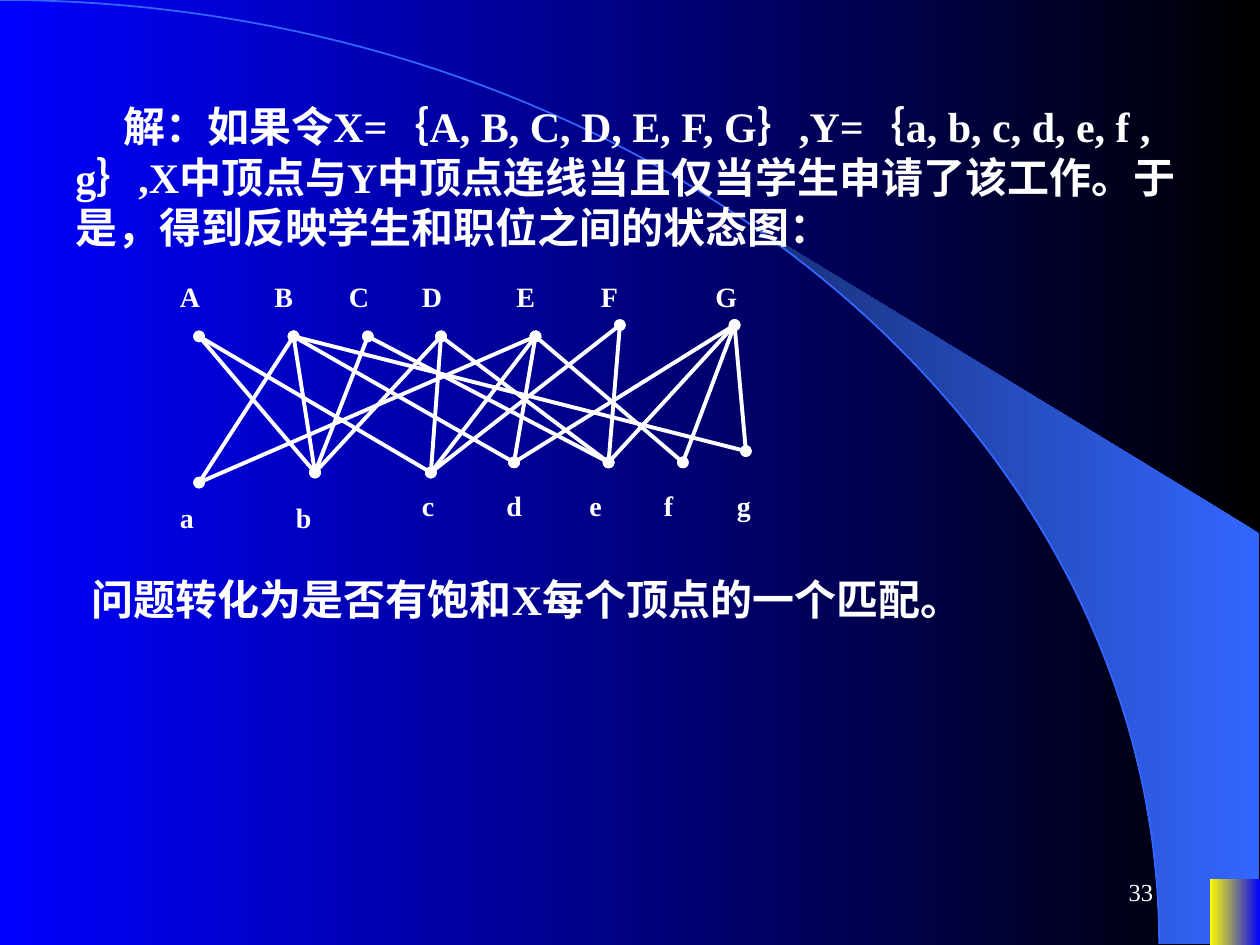
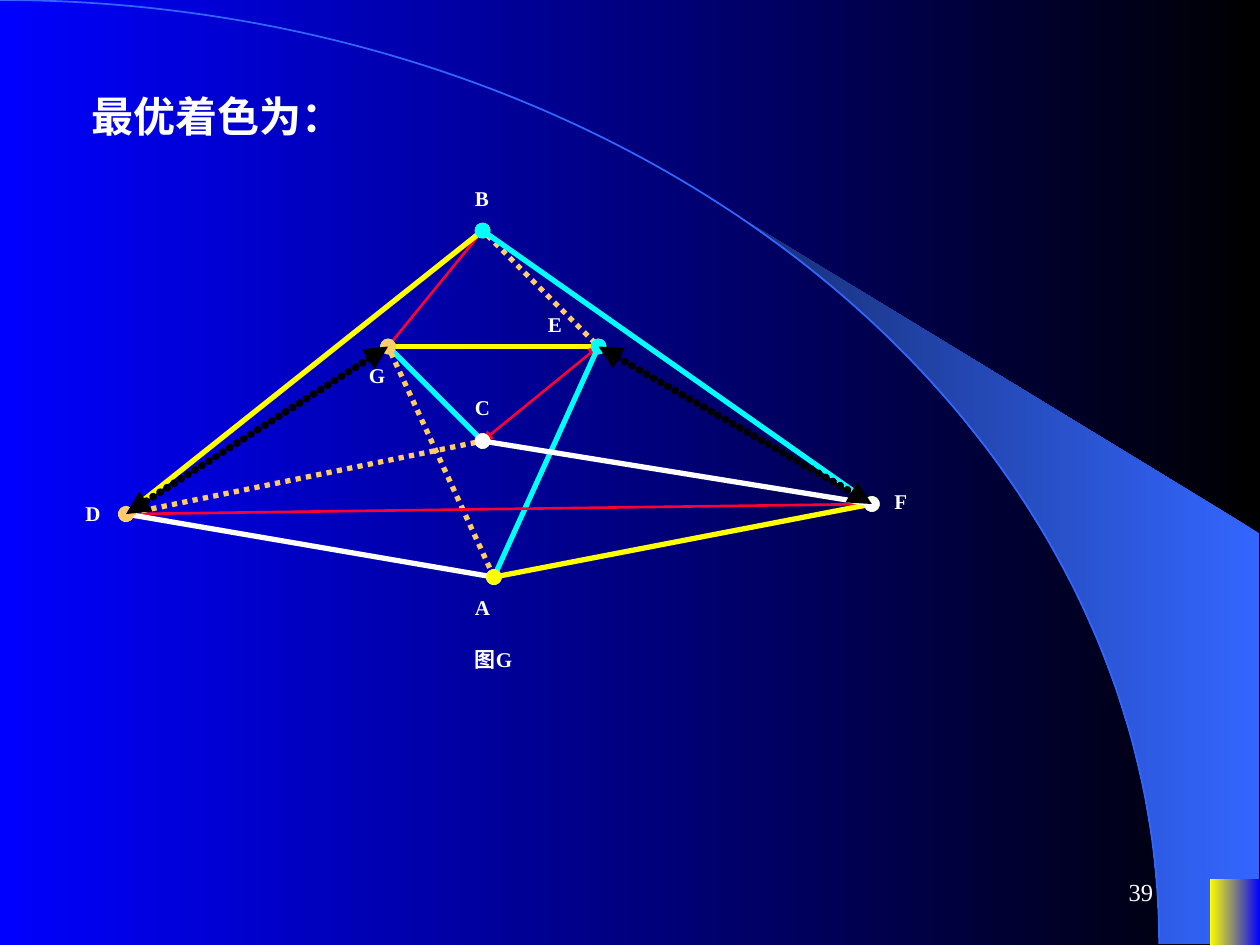
import math

import lxml.etree
import pptx
import pptx.dml.color
import pptx.enum.dml
import pptx.enum.shapes
import pptx.enum.text
import pptx.oxml.ns
import pptx.util

Inches = pptx.util.Inches
qn = pptx.oxml.ns.qn
FONT = "Times New Roman"
COLORS = {
    "black": "000000",
    "blue": "0000FF",
    "arc": "3366FF",
    "navy": "172F75",
    "white": "FFFFFF",
    "yellow": "FFFF00",
    "cyan": "00FFFF",
    "red": "FF0033",
    "orange": "FFCC66",
}
RGB = {name: pptx.dml.color.RGBColor.from_string(code) for name, code in COLORS.items()}


def write(box, place, text, size, bold=True, indent=0):
    box.left, box.top, box.width, box.height = map(Inches, place)
    frame = box.text_frame
    frame.word_wrap = True
    frame.auto_size = pptx.enum.text.MSO_AUTO_SIZE.NONE
    frame.vertical_anchor = pptx.enum.text.MSO_ANCHOR.TOP
    para = frame.paragraphs[0]
    para.alignment = pptx.enum.text.PP_ALIGN.LEFT
    para._p.get_or_add_pPr().set("indent", str(Inches(indent)))
    span = para.add_run()
    span.text = text
    span.font.name = FONT
    span.font.size = pptx.util.Pt(size)
    span.font.bold = bold
    span.font.color.rgb = RGB["white"]
    return box


def connect(page, start, end, color, width, tip="oval", dash=None):
    edge = page.shapes.add_connector(
        pptx.enum.shapes.MSO_CONNECTOR.STRAIGHT, *map(Inches, (*start, *end)))
    edge.line.color.rgb = RGB[color]
    edge.line.width = pptx.util.Pt(width)
    outline = edge.line._get_or_add_ln()
    if dash == "square":
        edge.line.dash_style = pptx.enum.dml.MSO_LINE.ROUND_DOT
    elif dash == "round":
        outline.set("cap", "rnd")
        pattern = lxml.etree.SubElement(outline, qn("a:custDash"))
        lxml.etree.SubElement(pattern, qn("a:ds"), d="100000", sp="5000")
    for side in ("a:headEnd", "a:tailEnd"):
        lxml.etree.SubElement(outline, qn(side), type=tip)
    lxml.etree.SubElement(edge._element.spPr, qn("a:effectLst"))


deck = pptx.Presentation()
deck.slide_width, deck.slide_height = Inches(10), Inches(7.5)
matching = deck.slides.add_slide(deck.slide_layouts[6])
coloring = deck.slides.add_slide(deck.slide_layouts[5])

ARC_WIDTH, ARC_HEIGHT = 9.2, 7.49
angles = [math.radians(39.8 + 50.2 * step / 16) for step in range(17)]
wedge_points = [
    (ARC_WIDTH * math.sin(angle), ARC_HEIGHT * (1 - math.cos(angle))) for angle in angles
] + [(9.99, ARC_HEIGHT), (9.99, 4.23)]
wedge_points = [(Inches(x), Inches(y)) for x, y in wedge_points]

for page, number in ((matching, "33"), (coloring, "39")):
    builder = page.shapes.build_freeform(*wedge_points[0])
    builder.add_line_segments(wedge_points[1:], close=True)
    wedge = builder.convert_to_shape()
    arc = page.shapes.add_shape(
        pptx.enum.shapes.MSO_SHAPE.ARC,
        *map(Inches, (-ARC_WIDTH, 0, 2 * ARC_WIDTH, 2 * ARC_HEIGHT)))
    arc.fill.background()
    arc.line.color.rgb = RGB["arc"]
    arc.line.width = pptx.util.Pt(1)
    corner = page.shapes.add_shape(
        pptx.enum.shapes.MSO_SHAPE.RECTANGLE, *map(Inches, (9.6, 6.98, 0.4, 0.52)))
    for shape in (wedge, arc, corner):
        shape.shadow.inherit = False
    for shape in (wedge, corner):
        shape.line.fill.background()

    for fill, right, left in (
        (page.background.fill, "black", "blue"),
        (wedge.fill, "arc", "navy"),
        (corner.fill, "blue", "yellow"),
    ):
        fill.gradient()
        fill.gradient_angle = 180
        for stop, color in zip(fill.gradient_stops, (right, left)):
            stop.color.rgb = RGB[color]

    place = (7.17, 6.83, 2.08, 0.5)
    number_box = write(page.shapes.add_textbox(0, 0, 0, 0), place, number, 14, bold=False)
    number_box.text_frame.vertical_anchor = pptx.enum.text.MSO_ANCHOR.MIDDLE
    number_box.text_frame.paragraphs[0].alignment = pptx.enum.text.PP_ALIGN.RIGHT

statements = [
    ((0.5, 0.75, 9.08, 1.3),
     "解：如果令X=｛A, B, C, D, E, F, G｝,Y=｛a, b, c, d, e, f , g｝,"
     "X中顶点与Y中顶点连线当且仅当学生申请了该工作。于是，得到反映学生和职位之间的状态图："),
    ((0.25, 4.5, 9.08, 0.5), "问题转化为是否有饱和X每个顶点的一个匹配。"),
]
for place, text in statements:
    write(matching.shapes.add_textbox(0, 0, 0, 0), place, text, 24, indent=0.38)

students = {
    "A": (1.58, 2.67), "B": (2.33, 2.67), "C": (2.92, 2.67), "D": (3.5, 2.67),
    "E": (4.25, 2.67), "F": (4.92, 2.58), "G": (5.83, 2.58),
}
jobs = {
    "a": (1.58, 3.83), "b": (2.5, 3.75), "c": (3.42, 3.75), "d": (4.08, 3.67),
    "e": (4.83, 3.67), "f": (5.42, 3.67), "g": (5.92, 3.58),
}
job_labels = {
    "a": (1.33, 3.92), "b": (2.25, 3.92), "c": (3.25, 3.83), "d": (3.92, 3.83),
    "e": (4.58, 3.83), "f": (5.17, 3.83), "g": (5.75, 3.83),
}
applications = {
    "A": "bc", "B": "abdg", "C": "be", "D": "bce", "E": "acdf", "F": "ce", "G": "defg",
}
for student, wanted in applications.items():
    for job in wanted:
        connect(matching, students[student], jobs[job], "white", 2.25)
student_labels = {name: (x - 0.25, 2.17) for name, (x, y) in students.items()}
for name, corner_point in (student_labels | job_labels).items():
    write(matching.shapes.add_textbox(0, 0, 0, 0), (*corner_point, 0.52, 0.37), name, 16)

write(coloring.shapes.title, (0.25, 0.67, 9.17, 0.5), "最优着色为：", 24, indent=0.38)

vertices = {
    "A": (3.92, 4.58), "B": (3.83, 1.83), "C": (3.83, 3.5), "D": (1, 4.08),
    "E": (4.75, 2.75), "F": (6.92, 4), "G": (3.08, 2.75),
}
edge_styles = {
    "red": (1.5, "oval", None),
    "red arrow": (1.5, "triangle", None),
    "orange": (3, "oval", "square"),
    "yellow": (3, "oval", None),
    "cyan": (3, "oval", None),
    "white": (3, "oval", None),
    "black": (4.5, "triangle", "round"),
}
colored_edges = [
    ("BG", "red"), ("BE", "orange"), ("GE", "yellow"), ("GC", "cyan"),
    ("EC", "red arrow"), ("GA", "orange"), ("EA", "cyan"), ("BD", "yellow"),
    ("BF", "cyan"), ("DF", "red arrow"), ("DA", "white"), ("FA", "yellow"),
    ("CD", "orange"), ("CF", "white"), ("GD", "black"), ("EF", "black"),
]
for (start, end), style in colored_edges:
    connect(coloring, vertices[start], vertices[end], style.split()[0], *edge_styles[style])

vertex_labels = {
    "F": (7, 3.83), "D": (0.58, 3.92), "A": (3.67, 4.67), "G": (2.83, 2.83),
    "C": (3.67, 3.08), "E": (4.25, 2.42), "B": (3.67, 1.42), "图G": (3.67, 5.08),
}
for name, corner_point in vertex_labels.items():
    width = 0.43 if len(name) == 1 else 0.58
    write(coloring.shapes.add_textbox(0, 0, 0, 0), (*corner_point, width, 0.3), name, 12)

deck.save("out.pptx")
